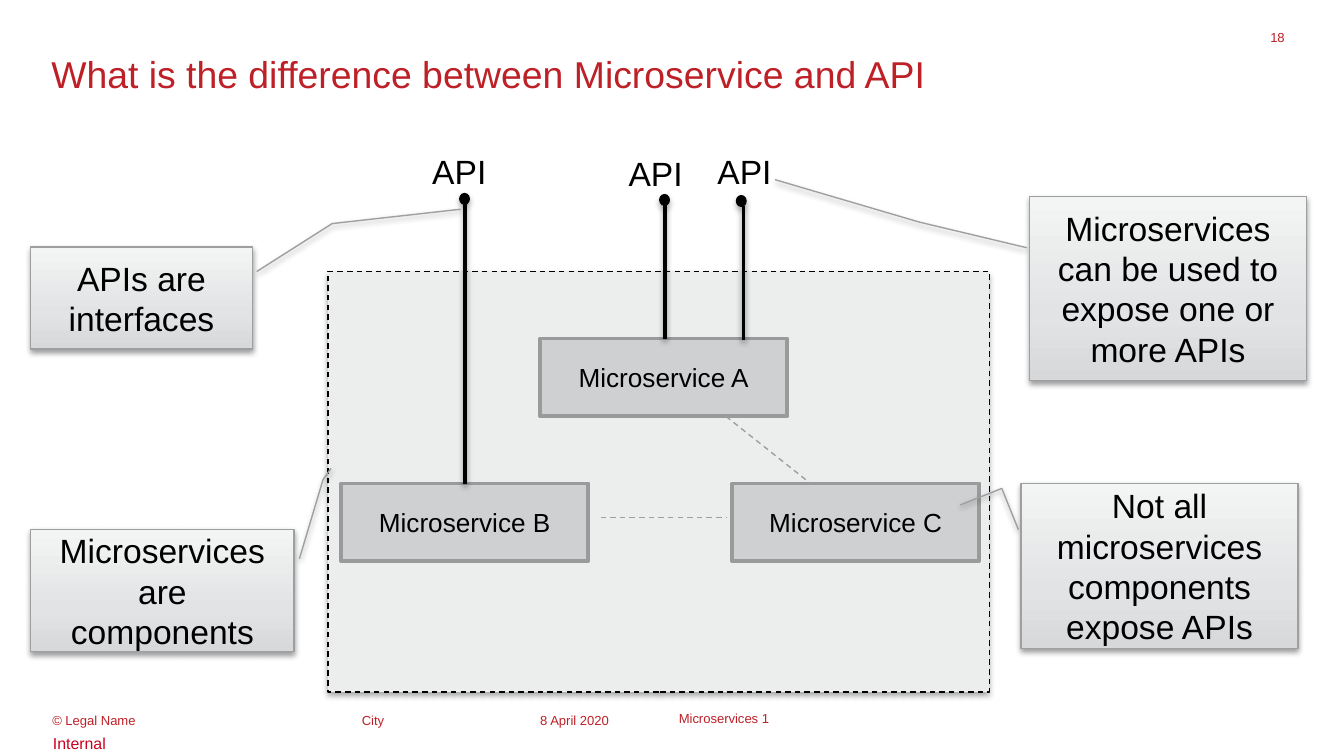
from copy import deepcopy

from lxml.etree import SubElement
from pptx import Presentation
from pptx.dml.color import RGBColor
from pptx.enum.dml import MSO_LINE
from pptx.enum.shapes import MSO_CONNECTOR, MSO_SHAPE as Geo
from pptx.enum.text import MSO_ANCHOR as Anchor, PP_ALIGN as Align
from pptx.oxml.ns import qn
from pptx.util import Cm, Pt

RED, BLACK, GREY = "BD2027", "000000", "9D9FA0"
FADE = [(0, "D6D8D9"), (0.35, "E1E3E4"), (1, "F3F4F4")]


def rgb(code):
    return RGBColor.from_string(code)


class Board:
    font = "Arial"

    def __init__(self, slide):
        self.shapes = slide.shapes

    def shade(self, item, alpha=0, dist=0):
        """Give a soft shadow straight below, or none when alpha is 0."""
        effects = SubElement(item._element.spPr, qn("a:effectLst"))
        if alpha:
            outer = SubElement(effects, qn("a:outerShdw"), blurRad=str(Pt(3.1)),
                               dist=str(Pt(dist)), dir="5400000", rotWithShape="0")
            tint = SubElement(outer, qn("a:srgbClr"), val=BLACK)
            SubElement(tint, qn("a:alpha"), val=str(alpha * 1000))

    def stroke(self, item, color, width, dash=False):
        item.line.color.rgb = rgb(color)
        item.line.width = Pt(width)
        if dash:
            item.line.dash_style = MSO_LINE.DASH

    def label(self, item, text, size, color=BLACK, align=Align.LEFT, anchor=Anchor.TOP):
        frame = item.text_frame
        frame.word_wrap = True
        frame.vertical_anchor = anchor
        para = frame.paragraphs[0]
        para.alignment = align
        run = para.add_run()
        run.text = text
        run.font.name = self.font
        run.font.size = Pt(size)
        run.font.color.rgb = rgb(color)
        return frame

    def text(self, box, text, size, color=BLACK, inset=None, **style):
        item = self.shapes.add_textbox(*map(Cm, box))
        frame = self.label(item, text, size, color, **style)
        if inset is not None:
            frame.margin_left = frame.margin_right = Cm(inset)
            frame.margin_top = frame.margin_bottom = Cm(inset)
        return frame

    def shape(self, geo, box, fill, line, width, dash=False, alpha=0, dist=0):
        item = self.shapes.add_shape(geo, *map(Cm, box))
        item.fill.solid()
        item.fill.fore_color.rgb = rgb(fill)
        self.stroke(item, line, width, dash)
        self.shade(item, alpha, dist)
        return item

    def service(self, left, top, name):
        item = self.shape(Geo.RECTANGLE, (left, top, 4.67, 1.47), "CFD0D2", "999A9B", 2)
        self.label(item, name, 14, align=Align.CENTER, anchor=Anchor.MIDDLE)

    def line(self, start, end, color, width, dash=False, alpha=0):
        item = self.shapes.add_connector(MSO_CONNECTOR.STRAIGHT, *map(Cm, start + end))
        self.stroke(item, color, width, dash)
        self.shade(item, alpha, 1.6)

    def port(self, stem, top, end, dot, corner):
        """Draw an API as a stem with a dot on top and a label above."""
        self.line((stem, top), (stem, end), BLACK, 2, alpha=38)
        self.shape(Geo.OVAL, (dot, top - 0.2, 0.18, 0.2), BLACK, BLACK, 0.75,
                   alpha=35, dist=1.8)
        self.text((*corner, 1.63, 1.02), "API", 18)

    def callout(self, box, bends, text):
        item = self.shape(Geo.LINE_CALLOUT_2, box, FADE[0][1], GREY, 0.75,
                          alpha=38, dist=1.6)
        for i, bend in enumerate(bends):
            item.adjustments[i] = bend
        item.fill.gradient()
        item.fill.gradient_angle = 90
        stops = item._element.spPr.find(".//" + qn("a:gsLst"))
        stops.insert(1, deepcopy(stops[0]))
        for stop, (place, color) in zip(item.fill.gradient_stops, FADE):
            stop.position = place
            stop.color.rgb = rgb(color)
        self.label(item, text, 18, align=Align.CENTER, anchor=Anchor.MIDDLE)


def main():
    deck = Presentation()
    deck.slide_width, deck.slide_height = Cm(25.4), Cm(14.29)
    board = Board(deck.slides.add_slide(deck.slide_layouts[6]))

    foot = 13.46
    for left, width, text in [(0.99, 5.49, "© Legal Name"), (6.84, 3.12, "City"),
                              (10.21, 2.21, "8 April 2020")]:
        board.text((left, foot, width, 0.23), text, 7, RED, 0)
    board.text((12.83, foot, 8.05, 0.23), "Microservices 1", 7, RED, 0,
               anchor=Anchor.MIDDLE)
    board.text((0, 13.74, 25.4, 0.61), "Internal", 8.5, "CA001F").margin_left = Cm(1)
    board.text((23.72, 0.56, 0.56, 0.38), "18", 7, RED, 0, align=Align.RIGHT)
    board.text((0.97, 0.97, 23.29, 1.3),
               "What is the difference between Microservice and API", 20, RED, 0)

    board.shape(Geo.RECTANGLE, (6.2, 5.13, 12.5, 7.95), "ECEDED", BLACK, 0.75,
                dash=True, alpha=35, dist=1.8)
    board.service(10.21, 6.4, "Microservice A")
    board.service(13.84, 9.14, "Microservice C")
    board.service(6.45, 9.14, "Microservice B")

    board.port(8.79, 3.86, 9.14, 8.69, (7.92, 2.72))
    board.port(12.57, 3.88, 6.4, 12.47, (11.63, 2.77))
    board.port(14.05, 3.9, 6.43, 13.92, (13.31, 2.72))

    board.callout((0.58, 4.67, 4.19, 1.93), (0.24, 1.02, -0.23, 1.36, -0.37, 1.94),
                  "APIs are interfaces")
    board.callout((0.58, 10.01, 4.98, 2.31), (0.24, 1.02, -0.41, 1.11, -0.5, 1.14),
                  "Microservices are components")
    board.callout((19.46, 3.71, 5.23, 3.48), (0.28, -0.01, 0.14, -0.4, -0.09, -0.92),
                  "Microservices can be used to expose one or more APIs")
    board.callout((19.3, 9.14, 5.23, 3.12), (0.28, -0.01, 0.03, -0.07, 0.13, -0.22),
                  "Not all microservices components expose APIs")

    board.line((13.72, 7.87), (15.32, 9.14), GREY, 0.75, dash=True)
    board.line((11.35, 9.78), (13.72, 9.78), GREY, 0.75, dash=True)
    deck.save("out.pptx")


if __name__ == "__main__":
    main()
